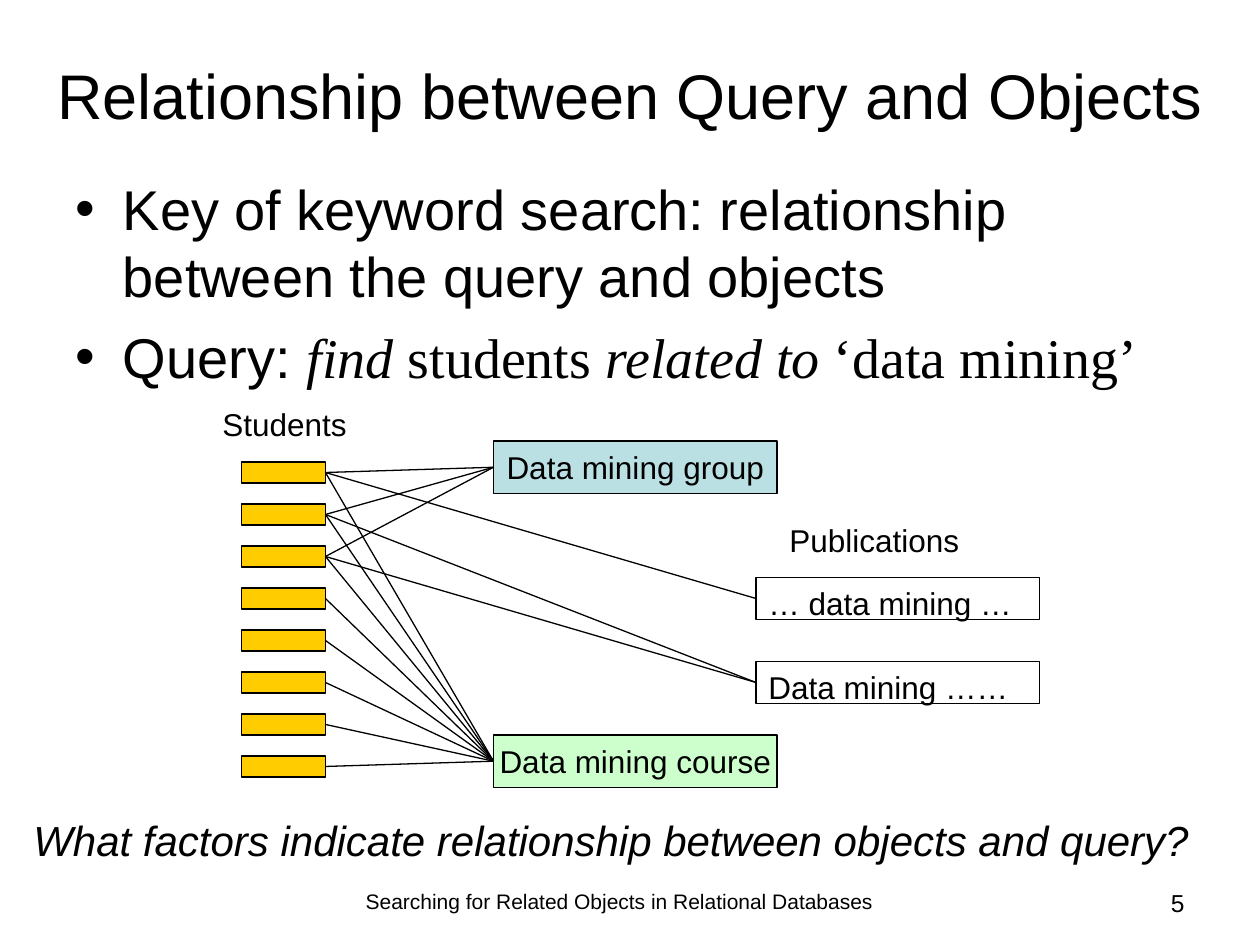
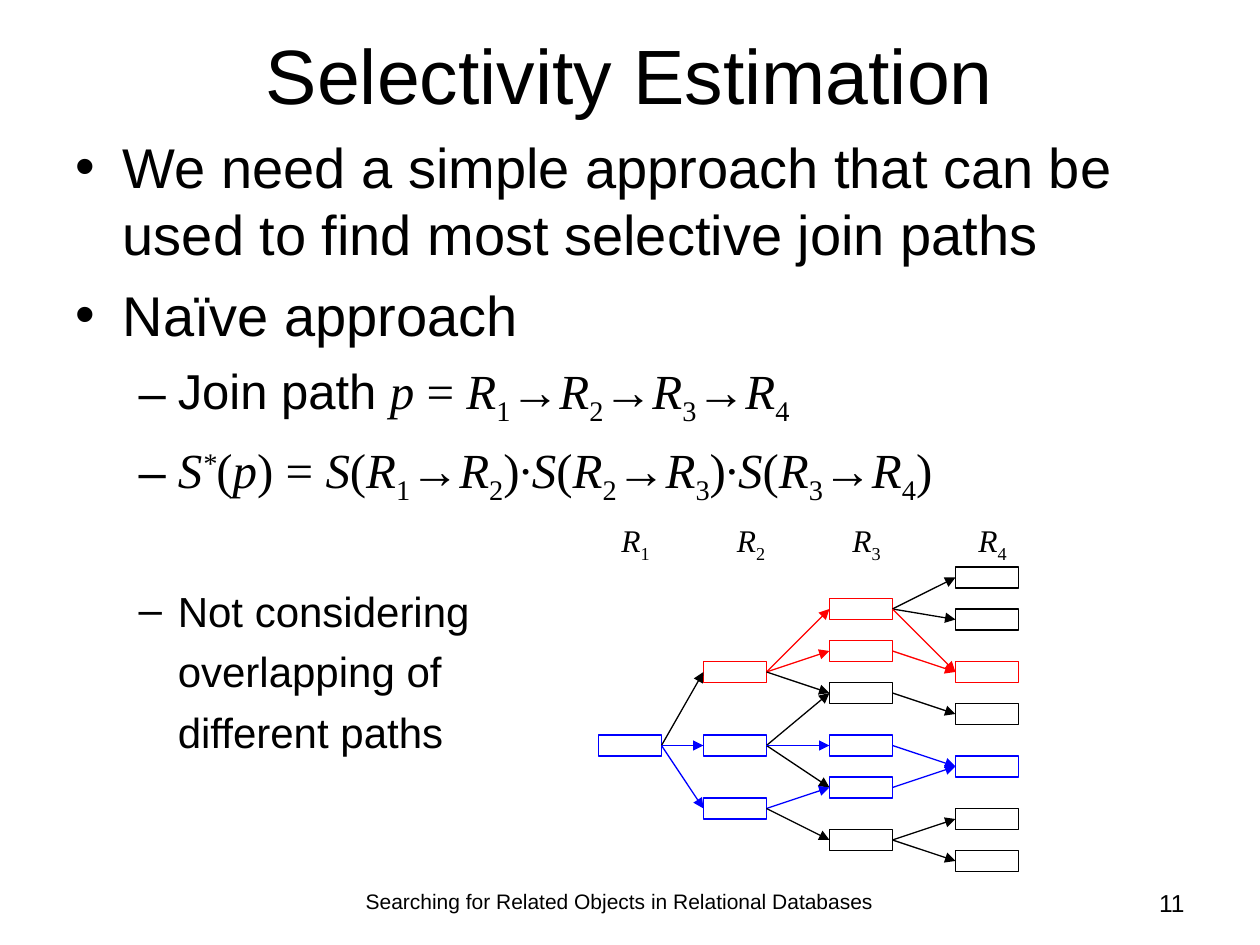
from dataclasses import dataclass
from itertools import groupby

from lxml import etree
from pptx import Presentation
from pptx.dml.color import RGBColor
from pptx.enum.shapes import MSO_CONNECTOR, MSO_SHAPE
from pptx.enum.text import MSO_ANCHOR, MSO_AUTO_SIZE, PP_ALIGN
from pptx.oxml.ns import qn
from pptx.slide import Slide
from pptx.text.text import TextFrame
from pptx.util import Cm, Pt

RECTANGLE = MSO_SHAPE.RECTANGLE
STRAIGHT = MSO_CONNECTOR.STRAIGHT
LEFT, CENTER, RIGHT = PP_ALIGN.LEFT, PP_ALIGN.CENTER, PP_ALIGN.RIGHT
TOP, MIDDLE = MSO_ANCHOR.TOP, MSO_ANCHOR.MIDDLE
NO_FIT = MSO_AUTO_SIZE.NONE

SANS, SERIF = "Arial", "Times New Roman"
BLACK, WHITE, RED, BLUE = "000000", "FFFFFF", "FF0000", "0000FF"
GOLD, TEAL, GREEN = "FFCC00", "BBE0E3", "CCFFCC"
FOOTER = "Searching for Related Objects in Relational Databases"
BULLET = dict(size=32, before=8, left=0.95, hang=0.95, bullet="•")
DASH = dict(size=28, before=7, left=2.06, hang=0.79, bullet="–", level=1)


@dataclass
class Span:
    text: str
    font: str = SANS
    italic: bool = False
    baseline: int = 0


@dataclass
class Box:
    """A rectangle measured in grid units (twelve to the inch)."""
    left: float
    top: float
    width: float
    height: float

    def lengths(self) -> list[Cm]:
        return [grid(n) for n in (self.left, self.top, self.width, self.height)]

    def left_port(self) -> tuple[float, float]:
        return self.left, self.top + self.height / 2

    def right_port(self) -> tuple[float, float]:
        return self.left + self.width, self.top + self.height / 2


@dataclass
class Label:
    box: Box
    text: str
    fill: str = WHITE
    align: PP_ALIGN = LEFT
    anchor: MSO_ANCHOR = TOP
    wrap: bool = True


@dataclass
class Node:
    column: int
    top: int
    color: str = BLACK

    def box(self) -> Box:
        return Box(COLUMNS[self.column], self.top, 6, 2)


@dataclass
class Edge:
    column: int
    start: int
    ends: tuple[int, ...]
    color: str = BLACK


# Relationship diagram
STUDENTS = [Box(23, 44 + 4 * row, 8, 2) for row in range(8)]
GROUP = Label(Box(47, 42, 27, 5), "Data mining group", TEAL, CENTER, MIDDLE, False)
COURSE = Label(Box(47, 70, 27, 5), "Data mining course", GREEN, CENTER, MIDDLE, False)
FIRST_PAPER = Label(Box(72, 55, 27, 4), "… data mining …")
SECOND_PAPER = Label(Box(72, 63, 27, 4), "Data mining ……")
RELATED_STUDENTS = [
    (GROUP, STUDENTS[:3]),
    (FIRST_PAPER, STUDENTS[:1]),
    (SECOND_PAPER, STUDENTS[1:3]),
    (COURSE, STUDENTS),
]

# Join path diagram: left edge of each relation, its tuples, and their joins
COLUMNS = (57, 67, 79, 91)
HEADING_LEFTS = (58, 69, 80, 92)
NODES = [
    Node(0, 70, BLUE),
    Node(1, 63, RED), Node(1, 70, BLUE), Node(1, 76, BLUE),
    Node(2, 57, RED), Node(2, 61, RED), Node(2, 65),
    Node(2, 70, BLUE), Node(2, 74, BLUE), Node(2, 79),
    Node(3, 54), Node(3, 58), Node(3, 63, RED), Node(3, 67),
    Node(3, 72, BLUE), Node(3, 77), Node(3, 81),
]
EDGES = [
    Edge(0, 70, (63,)), Edge(0, 70, (70, 76), BLUE),
    Edge(1, 63, (57, 61), RED), Edge(1, 63, (65,)),
    Edge(1, 70, (65, 74)), Edge(1, 70, (70,), BLUE),
    Edge(1, 76, (74,), BLUE), Edge(1, 76, (79,)),
    Edge(2, 57, (54, 58)), Edge(2, 57, (63,), RED),
    Edge(2, 61, (63,), RED), Edge(2, 65, (67,)),
    Edge(2, 70, (72,), BLUE), Edge(2, 74, (72,), BLUE),
    Edge(2, 79, (77, 81)),
]


def grid(units: float) -> Cm:
    return Cm(units * 2.54 / 12)


def rgb(color: str) -> RGBColor:
    return RGBColor.from_string(color)


def formula(text: str) -> list[Span]:
    """Italic letters and arrows, lowered digits, raised star."""
    def style(char: str) -> tuple[bool, int]:
        if char.isdigit():
            return False, -25
        return char.isalpha() or char in "→*", 30 if char == "*" else 0

    return [Span("".join(chars), SERIF, *key) for key, chars in groupby(text, style)]


def write(frame: TextFrame, text: str | list[Span], *, size: float = 18,
          italic: bool = False, align: PP_ALIGN = LEFT, before: float = 0,
          left: float = 0, hang: float = 0, bullet: str = "", level: int = 0) -> None:
    """Fill the first empty paragraph, or add one to the frame."""
    para = frame.paragraphs[-1]
    if para.runs:
        para = frame.add_paragraph()
    para.alignment, para.level, para.space_before = align, level, Pt(before)
    properties = para._p.get_or_add_pPr()
    properties.set("marL", str(Cm(left)))
    properties.set("indent", str(-Cm(hang)))
    if bullet:
        bullet_color = etree.SubElement(properties, qn("a:buClr"))
        etree.SubElement(bullet_color, qn("a:srgbClr"), val=BLACK)
        etree.SubElement(properties, qn("a:buFont"), typeface=SANS)
        etree.SubElement(properties, qn("a:buChar"), char=bullet)
    else:
        etree.SubElement(properties, qn("a:buNone"))
    spans = [Span(text, italic=italic)] if isinstance(text, str) else text
    for span in spans:
        run = para.add_run()
        run.text = span.text
        run.font.name, run.font.size = span.font, Pt(size)
        run.font.italic = span.italic
        run.font.color.rgb = rgb(BLACK)
        if span.baseline:
            run._r.get_or_add_rPr().set("baseline", str(span.baseline * 1000))


def add_text(page: Slide, box: Box, text: str | list[Span], **style) -> None:
    frame = page.shapes.add_textbox(*box.lengths()).text_frame
    frame.word_wrap = True
    write(frame, text, **style)


def add_rectangle(page: Slide, box: Box, fill: str = WHITE, line: str = BLACK) -> TextFrame:
    shape = page.shapes.add_shape(RECTANGLE, *box.lengths())
    shape.shadow.inherit = False
    shape.fill.solid()
    shape.fill.fore_color.rgb = rgb(fill)
    shape.line.color.rgb = rgb(line)
    shape.line.width = Pt(0.75)
    return shape.text_frame


def add_label(page: Slide, label: Label) -> None:
    frame = add_rectangle(page, label.box, label.fill)
    frame.word_wrap, frame.vertical_anchor = label.wrap, label.anchor
    write(frame, label.text, align=label.align)


def add_line(page: Slide, start: tuple[float, float], end: tuple[float, float],
             color: str = BLACK, arrow: bool = False) -> None:
    line = page.shapes.add_connector(STRAIGHT, *(grid(n) for n in start + end))
    line.line.color.rgb = rgb(color)
    line.line.width = Pt(0.75)
    if arrow:
        etree.SubElement(line.line._get_or_add_ln(), qn("a:tailEnd"), type="triangle")
    etree.SubElement(line._element.spPr, qn("a:effectLst"))


def place(placeholder, box: Box, anchor: MSO_ANCHOR) -> TextFrame:
    (placeholder.left, placeholder.top,
     placeholder.width, placeholder.height) = box.lengths()
    frame = placeholder.text_frame
    frame.auto_size, frame.word_wrap, frame.vertical_anchor = NO_FIT, True, anchor
    return frame


def add_page(deck, number: int, title: str, title_top: int, title_size: int,
             body_box: Box) -> tuple[Slide, TextFrame]:
    """Add a page with title and footers; return it with its body frame."""
    page = deck.slides.add_slide(deck.slide_layouts[1])
    title_frame = place(page.shapes.title, Box(2, title_top, 116, 12), MIDDLE)
    write(title_frame, title, size=title_size, align=CENTER)
    add_text(page, Box(30, 84, 58, 4.2), FOOTER, size=12, align=CENTER)
    add_text(page, Box(89, 84, 25, 4.2), str(number), size=14, align=RIGHT)
    return page, place(page.placeholders[1], body_box, TOP)


def build_relationship_page(deck) -> None:
    page, body = add_page(deck, 5, "Relationship between Query and Objects", 3, 36,
                          Box(6, 16, 108, 24))
    write(body, "Key of keyword search: relationship between the query and objects",
          **BULLET)
    write(body, [Span("Query: "), Span("find", SERIF, True), Span(" students ", SERIF),
                 Span("related to", SERIF, True), Span(" ‘data mining’", SERIF)],
          **BULLET)

    # Objects
    add_text(page, Box(20, 38, 16, 4.8), "Students")
    add_text(page, Box(74, 49, 19, 4.8), "Publications")
    for student in STUDENTS:
        add_rectangle(page, student, GOLD)

    # Links from each labelled object to its students
    for label, students in RELATED_STUDENTS:
        add_label(page, label)
        for student in students:
            add_line(page, label.box.left_port(), student.right_port())

    add_text(page, Box(2, 77, 114, 6),
             "What factors indicate relationship between objects and query?",
             size=24, italic=True)


def build_selectivity_page(deck) -> None:
    page, body = add_page(deck, 11, "Selectivity Estimation", 1, 44, Box(6, 12, 108, 67))
    write(body, "We need a simple approach that can be used to find most selective join paths",
          **BULLET)
    write(body, "Naïve approach", **BULLET)
    write(body, [Span("Join path "), *formula("p = R1→R2→R3→R4")], **DASH)
    write(body, formula("S*(p) = S(R1→R2)∙S(R2→R3)∙S(R3→R4)"), **DASH)
    remark = DASH | dict(size=24, before=6)
    write(body, "Not considering", **remark | dict(before=45))
    for line in ("overlapping of", "different paths"):
        write(body, line, **remark | dict(hang=0, bullet=""))

    # Tuples of the four relations and the joins between them
    for number, left in enumerate(HEADING_LEFTS, start=1):
        add_text(page, Box(left, 49, 7, 5.3), formula(f"R{number}"))
    for node in NODES:
        add_rectangle(page, node.box(), line=node.color)
    for edge in EDGES:
        start = Node(edge.column, edge.start).box().right_port()
        for end in edge.ends:
            target = Node(edge.column + 1, end).box().left_port()
            add_line(page, start, target, edge.color, arrow=True)


def main() -> None:
    deck = Presentation()
    deck.slide_width, deck.slide_height = Cm(25.4), Cm(19.05)
    build_relationship_page(deck)
    build_selectivity_page(deck)
    deck.save("out.pptx")


if __name__ == "__main__":
    main()
